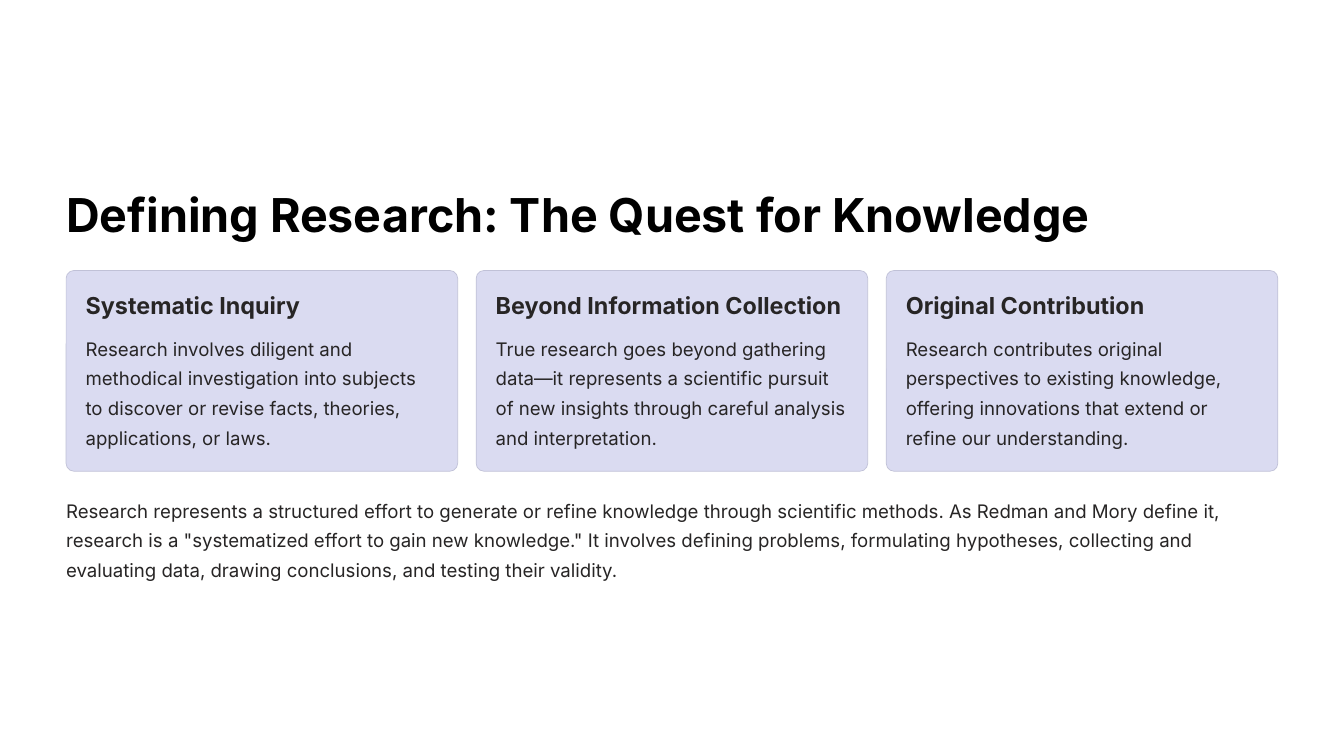
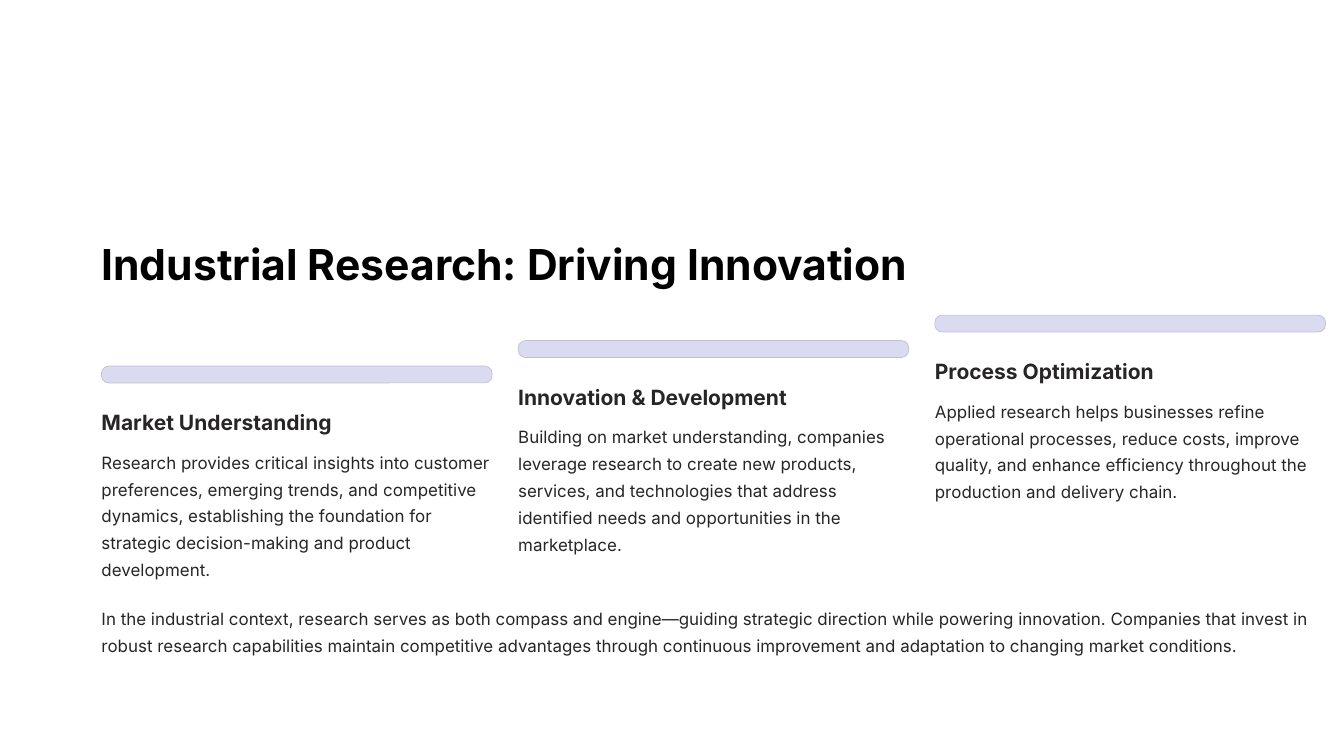
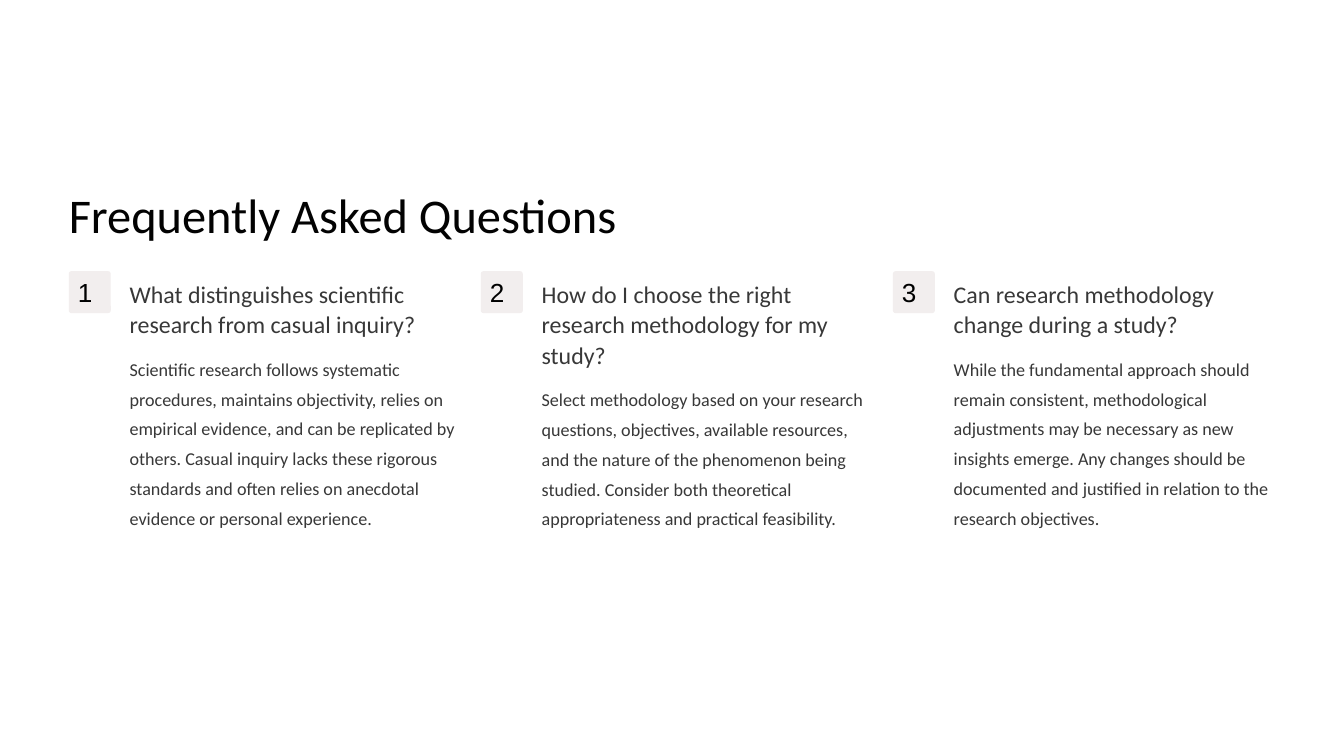
from pptx import Presentation
from pptx.dml.color import RGBColor
from pptx.enum import shapes, text
from pptx.util import Cm, Pt

# Shared look
BLACK = RGBColor(0x00, 0x00, 0x00)
INK = RGBColor(0x27, 0x25, 0x25)
LILAC = RGBColor(0xDA, 0xDB, 0xF1)
EDGE = RGBColor(0xC0, 0xC1, 0xD7)
NEAR = RGBColor(0x02, 0x02, 0x02)
GREY = RGBColor(0x38, 0x38, 0x38)
PALE = RGBColor(0xF2, 0xEE, 0xEE)

# Text styles: font, size, line spacing, colour, bold
TITLE = ("Inter", 40, 50, BLACK, True)
HEAD = ("Inter", 20, 25, INK, True)
BODY = ("Inter", 16, 25.5, INK, False)
STEP_TITLE = ("Inter", 36.5, 45.5, BLACK, True)
STEP_HEAD = ("Inter", 18, 22.5, INK, True)
STEP_BODY = ("Inter", 14.5, 23, INK, False)
FAQ_TITLE = ("Calibri", 41.5, 52, NEAR, False)
FAQ_HEAD = ("Calibri", 20.5, 26, GREY, False)
FAQ_BODY = ("Calibri", 15.5, 25.5, GREY, False)
BADGE = ("Arial", 22.4, None, BLACK, False)

# Content
CARDS = [
    ("Systematic Inquiry",
     "Research involves diligent and methodical investigation into subjects "
     "to discover or revise facts, theories, applications, or laws."),
    ("Beyond Information Collection",
     "True research goes beyond gathering data—it represents a scientific "
     "pursuit of new insights through careful analysis and interpretation."),
    ("Original Contribution",
     "Research contributes original perspectives to existing knowledge, "
     "offering innovations that extend or refine our understanding."),
]
CARD_NOTE = (
    "Research represents a structured effort to generate or refine knowledge "
    "through scientific methods. As Redman and Mory define it, research is a "
    '"systematized effort to gain new knowledge." It involves defining '
    "problems, formulating hypotheses, collecting and evaluating data, "
    "drawing conclusions, and testing their validity.")
STEPS = [
    ("Market Understanding",
     "Research provides critical insights into customer preferences, emerging "
     "trends, and competitive dynamics, establishing the foundation for "
     "strategic decision-making and product development."),
    ("Innovation & Development",
     "Building on market understanding, companies leverage research to create "
     "new products, services, and technologies that address identified needs "
     "and opportunities in the marketplace."),
    ("Process Optimization",
     "Applied research helps businesses refine operational processes, reduce "
     "costs, improve quality, and enhance efficiency throughout the "
     "production and delivery chain."),
]
STEP_NOTE = (
    "In the industrial context, research serves as both compass and "
    "engine—guiding strategic direction while powering innovation. Companies "
    "that invest in robust research capabilities maintain competitive "
    "advantages through continuous improvement and adaptation to changing "
    "market conditions.")
# Question, its number of lines, answer
FAQS = [
    ("What distinguishes scientific research from casual inquiry?", 2,
     "Scientific research follows systematic procedures, maintains "
     "objectivity, relies on empirical evidence, and can be replicated by "
     "others. Casual inquiry lacks these rigorous standards and often relies "
     "on anecdotal evidence or personal experience."),
    ("How do I choose the right research methodology for my study?", 3,
     "Select methodology based on your research questions, objectives, "
     "available resources, and the nature of the phenomenon being studied. "
     "Consider both theoretical appropriateness and practical feasibility."),
    ("Can research methodology change during a study?", 2,
     "While the fundamental approach should remain consistent, "
     "methodological adjustments may be necessary as new insights emerge. "
     "Any changes should be documented and justified in relation to the "
     "research objectives."),
]


def write(frame, words, style):
    """Fill a text frame with one left-aligned paragraph."""
    face, size, lead, ink, bold = style
    frame.text = words
    para = frame.paragraphs[0]
    para.alignment = text.PP_ALIGN.LEFT
    if lead:
        para.line_spacing = Pt(lead)
    font = para.runs[0].font
    font.name, font.size, font.bold = face, Pt(size), bold
    font.color.rgb = ink


def label(slide, left, top, width, height, words, style):
    """Add a wrapping text box without margins."""
    box = slide.shapes.add_textbox(Cm(left), Cm(top), Cm(width), Cm(height))
    frame = box.text_frame
    frame.word_wrap = True
    frame.margin_left = frame.margin_right = 0
    frame.margin_top = frame.margin_bottom = 0
    write(frame, words, style)


def panel(slide, left, top, width, height, round_by, fill, edge=None):
    """Add a rounded rectangle, outlined if an edge colour is given."""
    shape = slide.shapes.add_shape(
        shapes.MSO_SHAPE.ROUNDED_RECTANGLE,
        Cm(left), Cm(top), Cm(width), Cm(height))
    shape.adjustments[0] = round_by
    shape.shadow.inherit = False
    shape.fill.solid()
    shape.fill.fore_color.rgb = fill
    if edge is None:
        shape.line.fill.background()
    else:
        shape.line.color.rgb = edge
        shape.line.width = Pt(0.6)
    return shape


def define(slide):
    """Three cards with a note below."""
    left, width, pitch, pad = 2, 11.84, 12.4, 0.59
    full = 2 * pitch + width
    label(slide, left, 5.54, full, 1.78,
          "Defining Research: The Quest for Knowledge", TITLE)
    for col, (head, body) in enumerate(CARDS):
        x = left + col * pitch
        inner = width - 2 * pad
        panel(slide, x, 8.18, width, 6.07, 0.039, LILAC, EDGE)
        label(slide, x + pad, 8.76, inner, 0.89, head, HEAD)
        label(slide, x + pad, 9.98, inner, 3.66, body, BODY)
    label(slide, left, 14.88, full, 2.74, CARD_NOTE, BODY)


def climb(slide):
    """Three rising steps with a note below."""
    left, width, pitch, rise = 3.07, 11.81, 12.6, 0.77
    full = 2 * pitch + width
    label(slide, left, 7.14, full, 1.63,
          "Industrial Research: Driving Innovation", STEP_TITLE)
    for col, (head, body) in enumerate(STEPS):
        x, y = left + col * pitch, 11.07 - col * rise
        panel(slide, x, y, width, 0.51, 0.42, LILAC, EDGE)
        label(slide, x, y + 1.29, width, 0.81, head, STEP_HEAD)
        label(slide, x, y + 2.41, width, 4.14, body, STEP_BODY)
    label(slide, left, 18.21, full, 1.65, STEP_NOTE, STEP_BODY)


def ask(slide):
    """Three numbered questions with answers."""
    left, width, pitch, inset, line = 2.08, 9.93, 12.46, 1.84, 0.92
    label(slide, left, 5.51, 2 * pitch + width, 1.85,
          "Frequently Asked Questions", FAQ_TITLE)
    for col, (head, rows, body) in enumerate(FAQS):
        x, y = left + col * pitch, 8.41
        badge = panel(slide, x, 8.2, 1.27, 1.27, 0.067, PALE)
        badge.text_frame.vertical_anchor = text.MSO_ANCHOR.MIDDLE
        write(badge.text_frame, str(col + 1), BADGE)
        label(slide, x + inset, y, width, rows * line, head, FAQ_HEAD)
        label(slide, x + inset, y + rows * line + 0.34, width, 6.32,
              body, FAQ_BODY)


def main():
    deck = Presentation()
    deck.slide_width, deck.slide_height = Cm(40.64), Cm(22.86)
    blank = deck.slide_layouts[6]
    for build in (define, climb, ask):
        build(deck.slides.add_slide(blank))
    deck.save("out.pptx")


if __name__ == "__main__":
    main()
